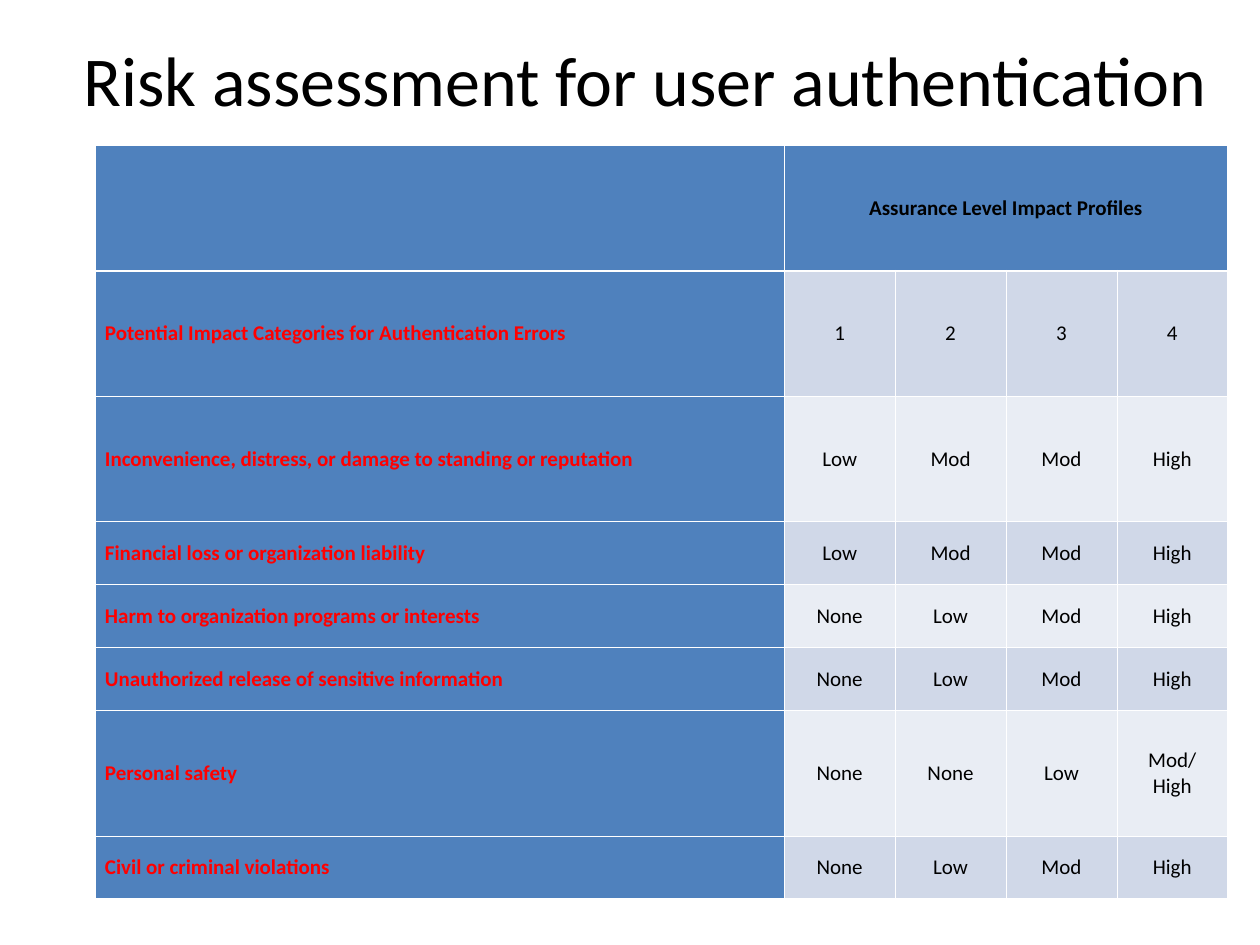
from lxml import etree
from pptx import Presentation
from pptx.dml.color import RGBColor
from pptx.enum.text import MSO_ANCHOR, MSO_AUTO_SIZE, PP_ALIGN
from pptx.oxml.ns import qn
from pptx.util import Emu, Pt

PX = 914400 // 192  # 192 px to the inch
FONT = "Calibri"
BLACK, WHITE, RED = "000000", "FFFFFF", "FF0000"
BLUE, BANDS = "4F81BD", ("D0D8E8", "E9EDF4")
THIN, THICK = 0.45, 1.47


def px(n):
    return Emu(n * PX)


def rgb(value):
    return RGBColor.from_string(value)


class SlideBuilder:
    def __init__(self, prs, layout):
        self.slide = prs.slides.add_slide(layout)

    def style(self, tf, size, color, bold=False, align=PP_ALIGN.CENTER):
        for p in tf.paragraphs:
            p.alignment = align
            for r in p.runs:
                r.font.name = FONT
                r.font.size = Pt(size)
                r.font.bold = bold
                r.font.color.rgb = rgb(color)

    def title(self, text, x, y, w, h):
        sp = self.slide.shapes.title
        sp.left, sp.top, sp.width, sp.height = map(px, (x, y, w, h))
        tf = sp.text_frame
        tf.text = text
        tf.word_wrap = True
        tf.auto_size = MSO_AUTO_SIZE.NONE
        tf.vertical_anchor = MSO_ANCHOR.MIDDLE
        self.style(tf, 40, BLACK)

    def borders(self, cell, top, bottom):
        tc_pr = cell._tc.get_or_add_tcPr()
        sides = (("a:lnL", THIN), ("a:lnR", THIN), ("a:lnT", top), ("a:lnB", bottom))
        for i, (tag, width) in enumerate(sides):
            ln = etree.Element(qn(tag), w=str(Pt(width)))
            fill = etree.SubElement(ln, qn("a:solidFill"))
            etree.SubElement(fill, qn("a:srgbClr"), val=WHITE)
            tc_pr.insert(i, ln)

    def cell(self, cell, text, row, col):
        cell.text = text
        cell.vertical_anchor = MSO_ANCHOR.MIDDLE
        cell.margin_left = cell.margin_right = px(15)
        cell.margin_top = cell.margin_bottom = px(10)
        label = row > 0 and col == 0
        header = row == 0 or col == 0
        cell.fill.solid()
        cell.fill.fore_color.rgb = rgb(BLUE if header else BANDS[(row - 1) % 2])
        self.style(cell.text_frame, 12, RED if label else BLACK, header,
                   PP_ALIGN.LEFT if label else PP_ALIGN.CENTER)
        # A thicker rule separates the header row from the body
        self.borders(cell, THICK if row == 1 else THIN, THICK if row == 0 else THIN)

    def table(self, rows, x, y, widths, heights):
        frame = self.slide.shapes.add_table(
            len(rows), len(widths), px(x), px(y), px(sum(widths)), px(sum(heights)))
        table = frame.table
        for column, width in zip(table.columns, widths):
            column.width = px(width)
        for row, height in zip(table.rows, heights):
            row.height = px(height)
        for i, texts in enumerate(rows):
            for j, text in enumerate(texts):
                self.cell(table.cell(i, j), text, i, j)
        return table


TALL, SHORT = 191, 96
ROWS = [
    ("", "Assurance Level Impact Profiles", "", "", ""),
    ("Potential Impact Categories for Authentication Errors", "1", "2", "3", "4"),
    ("Inconvenience, distress, or damage to standing or reputation",
     "Low", "Mod", "Mod", "High"),
    ("Financial loss or organization liability", "Low", "Mod", "Mod", "High"),
    ("Harm to organization programs or interests", "None", "Low", "Mod", "High"),
    ("Unauthorized release of sensitive information", "None", "Low", "Mod", "High"),
    ("Personal safety", "None", "None", "Low", "Mod/\nHigh"),
    ("Civil or criminal violations", "None", "Low", "Mod", "High"),
]


def main():
    prs = Presentation()
    prs.slide_width, prs.slide_height = px(1920), px(1440)
    s = SlideBuilder(prs, prs.slide_layouts[5])

    # Title
    s.title("Risk assessment for user authentication", 98, 0, 1770, 240)

    # Impact table, with one heading over the four levels
    heights = [TALL] * 3 + [SHORT] * 3 + [TALL, SHORT]
    table = s.table(ROWS, 145, 222, [1050] + [169] * 4, heights)
    table.cell(0, 1).merge(table.cell(0, 4))

    prs.save("out.pptx")


if __name__ == "__main__":
    main()
